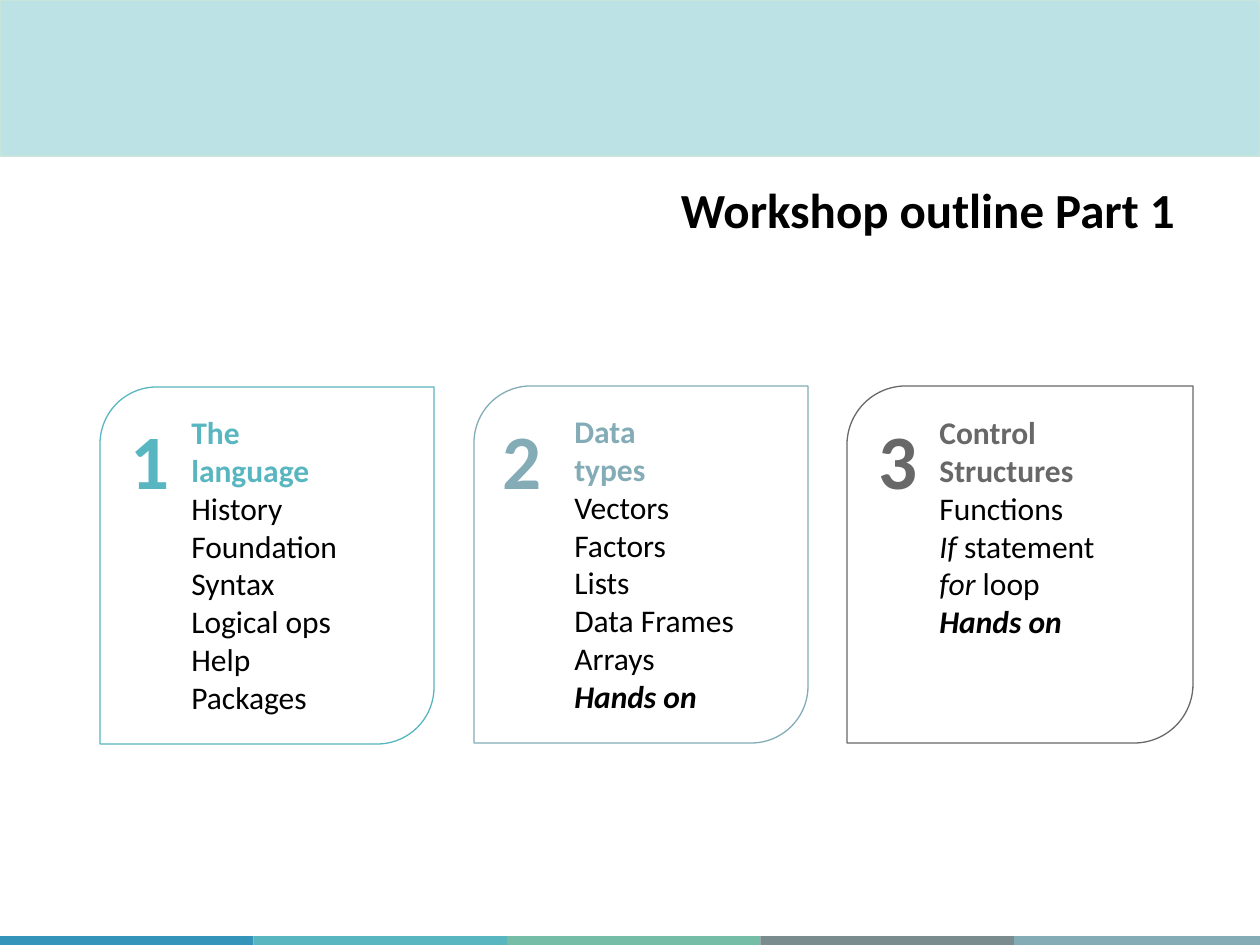
import pptx
import pptx.util
import pptx.dml.color
import pptx.enum.shapes
import pptx.enum.text

SCALE = 914400 / 126
KIND = pptx.enum.shapes.MSO_SHAPE
ALIGN = pptx.enum.text.PP_ALIGN
ANCHOR = pptx.enum.text.MSO_ANCHOR

HEAD = "Workshop outline Part 1"
STRIPES = ["3494BA", "58B6C0", "75BDA7", "7A8C8E", "84ACB6"]
HANDS = [("Hands on", "bi")]
CARDS = [
    dict(num="1", tone="58B6C0", box=(100, 387, 334, 357),
         mark=(118, 406, 68, 106), body=(179, 407, 204, 319),
         title=["The", "language"],
         items=["History", "Foundation", "Syntax", "Logical ops", "Help", "Packages"]),
    dict(num="2", tone="84ACB7", box=(474, 386, 334, 357),
         mark=(490, 406, 63, 106), body=(562, 406, 200, 319),
         title=["Data", "types"],
         items=["Vectors", "Factors", "Lists", "Data Frames", "Arrays", HANDS]),
    dict(num="3", tone="686868", box=(847, 386, 346, 357),
         mark=(866, 406, 71, 106), body=(927, 407, 256, 242),
         title=["Control", "Structures"],
         items=["Functions", [("If", "i"), (" statement", "")],
                [("for", "i"), (" loop", "")], HANDS]),
]


def px(*vals):
    return [pptx.util.Emu(round(v * SCALE)) for v in vals]


def color(code):
    return pptx.dml.color.RGBColor.from_string(code)


def shape(kind, box, fill=None, line=None, width=0.75):
    item = slide.shapes.add_shape(kind, *px(*box))
    item.shadow.inherit = False
    if fill:
        item.fill.solid()
        item.fill.fore_color.rgb = color(fill)
    else:
        item.fill.background()
    if line:
        item.line.color.rgb = color(line)
        item.line.width = pptx.util.Pt(width)
    else:
        item.line.fill.background()
    return item


def write(box, lines, size, anchor=ANCHOR.TOP, **form):
    frame = slide.shapes.add_textbox(*px(*box)).text_frame
    frame.word_wrap = True
    frame.vertical_anchor = anchor
    for i, (runs, tone) in enumerate(lines):
        para = frame.add_paragraph() if i else frame.paragraphs[0]
        for key, val in form.items():
            setattr(para, key, val)
        for text, style in runs:
            run = para.add_run()
            run.text = text
            font = dict(name="Calibri", size=pptx.util.Pt(size),
                        bold="b" in style, italic="i" in style)
            for key, val in font.items():
                setattr(run.font, key, val)
            run.font.color.rgb = color(tone)


deck = pptx.Presentation()
deck.slide_width, deck.slide_height = px(1260, 945)
slide = deck.slides.add_slide(deck.slide_layouts[6])

step = 253.5
for i, tone in enumerate(STRIPES):
    left = i * step
    shape(KIND.RECTANGLE, (left, 936, min(step, 1260 - left), 9), tone)
shape(KIND.RECTANGLE, (0, 0, 1260, 156), "BCE2E6", "C8E5DC", 1)
write((101, 159, 1086, 86), [([(HEAD, "b")], "000000")], 28,
      ANCHOR.BOTTOM, alignment=ALIGN.RIGHT, line_spacing=0.9)

for card in CARDS:
    tone = card["tone"]
    lines = [([(text, "b")], tone) for text in card["title"]]
    for item in card["items"]:
        runs = [(item, "")] if isinstance(item, str) else item
        lines.append((runs, "000000"))
    write(card["body"], lines, 18)
    frame = shape(KIND.ROUND_2_DIAG_RECTANGLE, card["box"], line=tone)
    frame.adjustments[0] = 0.17
    frame.adjustments[1] = 0
    write(card["mark"], [([(card["num"], "b")], tone)], 44)

deck.save("out.pptx")
